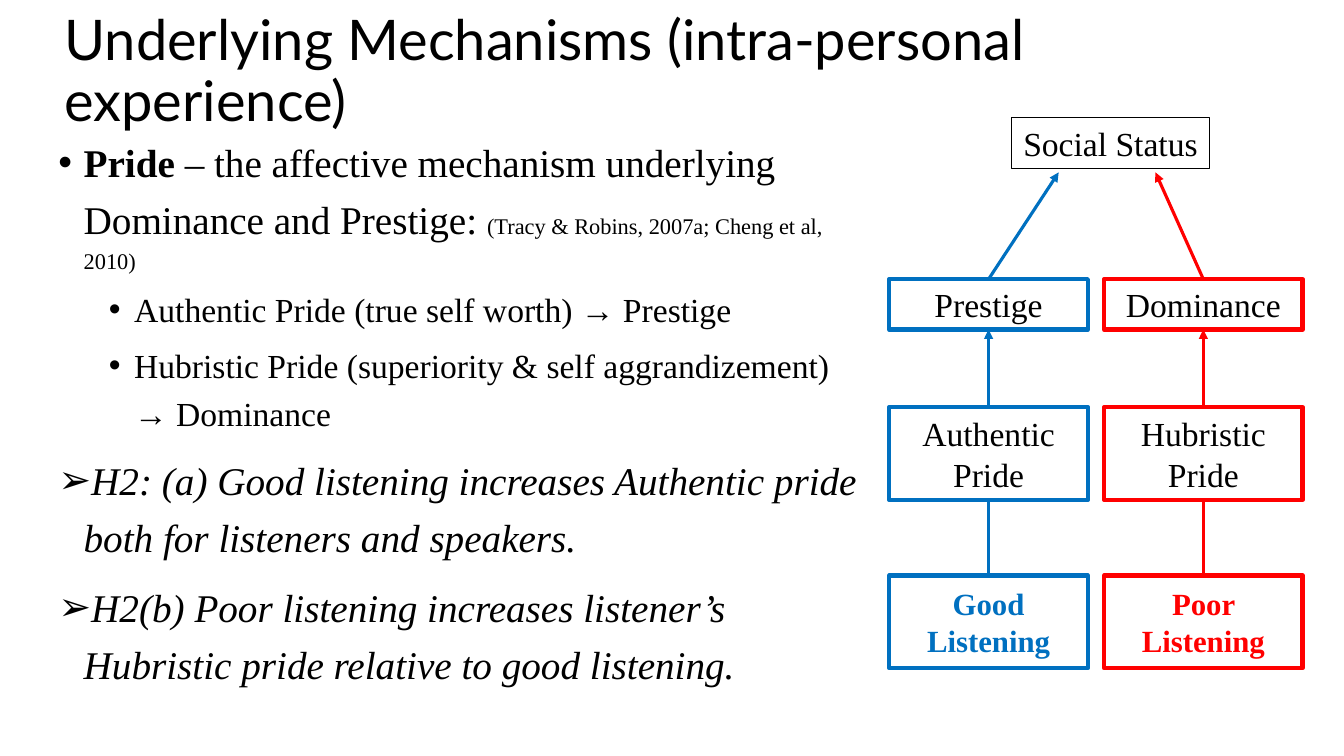
from lxml import etree
from pptx import Presentation
from pptx.dml.color import RGBColor
from pptx.enum.shapes import MSO_CONNECTOR as CONN, MSO_SHAPE as SHAPE
from pptx.enum.text import MSO_ANCHOR as ANCHOR, MSO_AUTO_SIZE as AUTO, PP_ALIGN as ALIGN
from pptx.oxml.ns import qn
from pptx.util import Inches, Pt

COLORS = {"text": "000000", "good": "0070C0", "poor": "FF0000", "paper": "FFFFFF"}
SERIF = "Times New Roman"
BODY = [
    (0, "•", [("Pride ", 28, "b"),
              ("– the affective mechanism underlying Dominance and Prestige: ", 28, ""),
              ("(Tracy & Robins, 2007a; Cheng et al, 2010)", 16, "")]),
    (1, "•", [("Authentic Pride (true self worth) → Prestige", 24, "")]),
    (1, "•", [("Hubristic Pride (superiority & self aggrandizement) → Dominance", 24, "")]),
    (0, "➢", [("H2: (a) Good listening increases Authentic pride both for listeners and speakers.",
               28, "i")]),
    (0, "➢", [("H2(b) Poor listening increases listener’s Hubristic pride relative to good listening.",
               28, "i")]),
]
BOX_W = 1.97


def rgb(name):
    """Return the named colour."""
    return RGBColor.from_string(COLORS[name])


def style(r, size, color="text", font=SERIF, bold=False, italic=False):
    """Format one run."""
    r.font.size, r.font.name = Pt(size), font
    r.font.bold, r.font.italic = bold, italic
    r.font.color.rgb = rgb(color)


def place(sp, x, y, w, h):
    """Move a shape to the given box."""
    sp.left, sp.top, sp.width, sp.height = (Inches(v) for v in (x, y, w, h))


def add_title(s, x, y, w, h):
    """Fill the title placeholder."""
    sp = s.shapes.title
    place(sp, x, y, w, h)
    tf = sp.text_frame
    tf.text = "Underlying Mechanisms (intra-personal experience)"
    tf.auto_size, tf.vertical_anchor = AUTO.NONE, ANCHOR.MIDDLE
    p = tf.paragraphs[0]
    p.alignment, p.line_spacing = ALIGN.LEFT, 0.9
    style(p.runs[0], 40, font="Lato")


def set_bullet(p, char, indent):
    """Give a paragraph a hanging bullet."""
    pPr = p._p.get_or_add_pPr()
    pPr.set("marL", str(Inches(indent)))
    pPr.set("indent", str(Inches(-0.25)))
    etree.SubElement(pPr, qn("a:buFont")).set("typeface", "Arial")
    etree.SubElement(pPr, qn("a:buChar")).set("char", char)


def add_body(s, x, y, w, h):
    """Fill the body placeholder with the bulleted argument."""
    sp = s.placeholders[1]
    place(sp, x, y, w, h)
    tf = sp.text_frame
    tf.auto_size = AUTO.NONE
    for i, (level, char, runs) in enumerate(BODY):
        p = tf.add_paragraph() if i else tf.paragraphs[0]
        p.level, p.line_spacing = level, 1.2
        p.space_before = Pt((5 if level else 10) if i else 0)
        set_bullet(p, char, 0.25 + 0.5 * level)
        for text, size, marks in runs:
            r = p.add_run()
            r.text = text
            style(r, size, bold="b" in marks, italic="i" in marks)


def add_box(s, text, x, y, h, color, weight=3, size=24, text_color="text", bold=False):
    """Draw one outlined box with centred text."""
    sp = s.shapes.add_shape(SHAPE.RECTANGLE, *(Inches(v) for v in (x, y, BOX_W, h)))
    sp.shadow.inherit = False
    sp.fill.solid()
    sp.fill.fore_color.rgb = rgb("paper")
    sp.line.color.rgb, sp.line.width = rgb(color), Pt(weight)
    tf = sp.text_frame
    tf.text, tf.word_wrap, tf.vertical_anchor = text, True, ANCHOR.MIDDLE
    p = tf.paragraphs[0]
    p.alignment = ALIGN.CENTER
    style(p.runs[0], size, text_color, bold=bold)


def add_arrow(s, x1, y1, x2, y2, color):
    """Draw an arrow between two points."""
    cn = s.shapes.add_connector(CONN.STRAIGHT, *(Inches(v) for v in (x1, y1, x2, y2)))
    cn.line.color.rgb, cn.line.width = rgb(color), Pt(2.25)
    etree.SubElement(cn.line._get_or_add_ln(), qn("a:tailEnd")).set("type", "triangle")
    etree.SubElement(cn._element.spPr, qn("a:effectLst"))


def add_path(s, x, y, color, rank, pride, listening, tip_x):
    """Draw one column from listening up to social status."""
    mid = x + BOX_W / 2
    add_box(s, rank, x, y + 1.6, 0.5, color)
    add_arrow(s, mid, y + 1.6, tip_x, y + 0.54, color)
    add_arrow(s, mid, y + 4.54, mid, y + 2.1, color)
    add_box(s, pride, x, y + 2.87, 0.92, color)
    add_box(s, listening, x, y + 4.54, 0.92, color, size=22, text_color=color, bold=True)


def add_model(s, x, y):
    """Draw the two paths to social status."""
    add_box(s, "Social Status", x + 1.21, y, 0.5, "text", weight=0.75)
    add_path(s, x, y, "good", "Prestige", "Authentic Pride", "Good Listening", x + 1.68)
    add_path(s, x + 2.13, y, "poor", "Dominance", "Hubristic Pride", "Poor Listening", x + 2.64)


def main():
    """Build and save the slide."""
    prs = Presentation()
    prs.slide_width, prs.slide_height = Inches(13.33), Inches(7.5)
    s = prs.slides.add_slide(prs.slide_layouts[1])
    add_title(s, 0.54, 0, 11.5, 1.45)
    add_body(s, 0.48, 1.23, 8.19, 5.89)
    add_model(s, 8.82, 1.17)
    prs.save("out.pptx")


if __name__ == "__main__":
    main()
